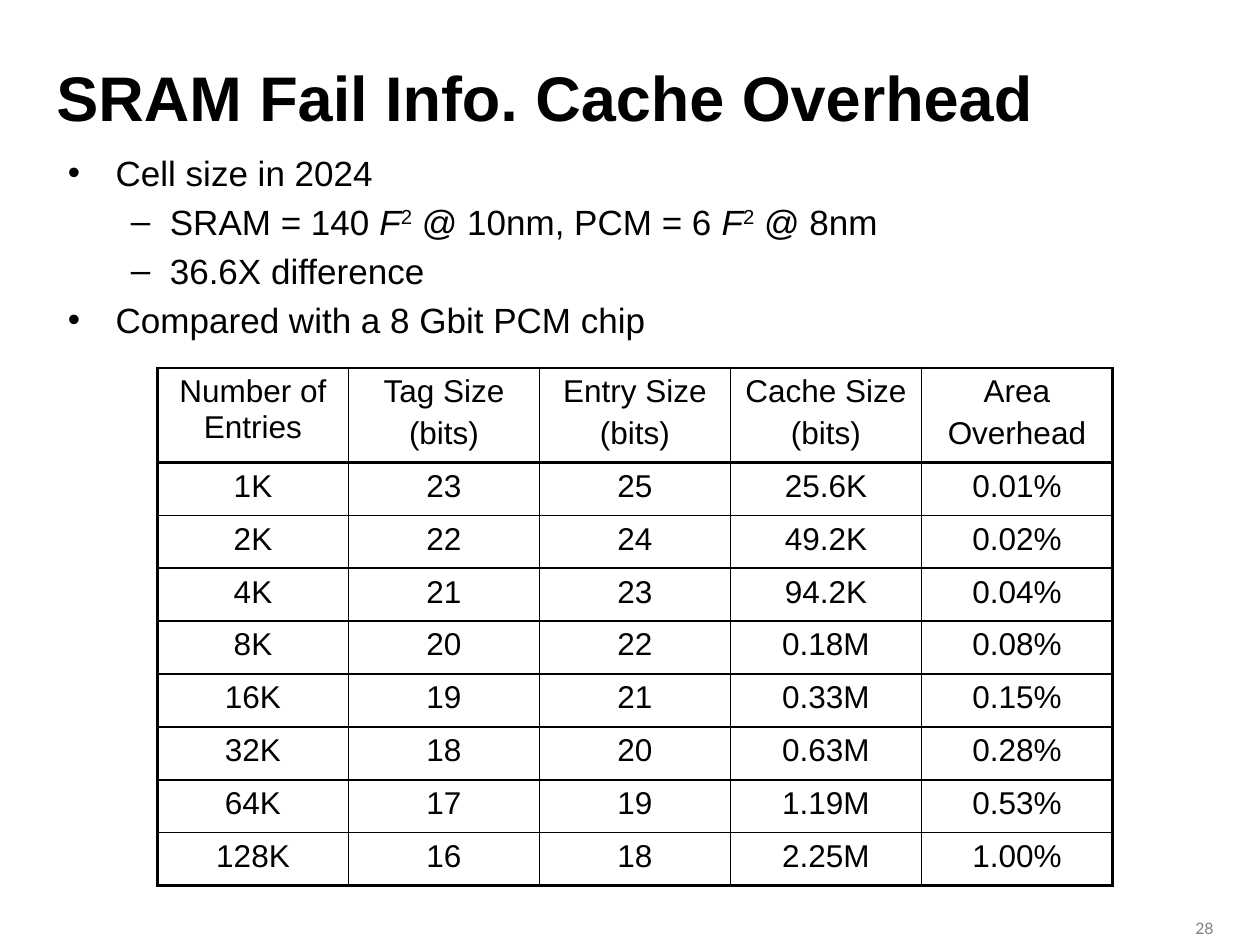
"""Build the slide on the area overhead of an SRAM fail information cache."""

from dataclasses import dataclass

from lxml.etree import SubElement
from pptx import Presentation
from pptx.dml.color import RGBColor
from pptx.enum.text import MSO_ANCHOR, PP_ALIGN
from pptx.oxml.ns import qn
from pptx.util import Inches, Pt

BLACK = RGBColor(0x00, 0x00, 0x00)
GRAY = RGBColor(0x80, 0x80, 0x80)
OUTER_WIDTH, INNER_WIDTH = Pt(1.5), Pt(1)


@dataclass(frozen=True)
class Piece:
    text: str
    italic: bool = False
    superscript: bool = False


@dataclass(frozen=True)
class Level:
    number: int
    symbol: str
    margin: float
    hanging: float


@dataclass(frozen=True)
class Bullet:
    level: Level
    pieces: tuple[Piece, ...]


MAIN = Level(0, "•", 0.38, 0.38)
DETAIL = Level(1, "–", 0.81, 0.31)
FEATURE = (Piece("F", italic=True), Piece("2", superscript=True))
BULLETS = (
    Bullet(MAIN, (Piece("Cell size in 2024"),)),
    Bullet(DETAIL, (Piece("SRAM = 140 "), *FEATURE, Piece(" @ 10nm, PCM = 6 "),
                    *FEATURE, Piece(" @ 8nm"))),
    Bullet(DETAIL, (Piece("36.6X difference"),)),
    Bullet(MAIN, (Piece("Compared with a 8 Gbit PCM chip"),)),
)
OVERHEAD_ROWS = (
    ("Number of Entries", "Tag Size\n(bits)", "Entry Size\n(bits)",
     "Cache Size\n(bits)", "Area\nOverhead"),
    ("1K", "23", "25", "25.6K", "0.01%"),
    ("2K", "22", "24", "49.2K", "0.02%"),
    ("4K", "21", "23", "94.2K", "0.04%"),
    ("8K", "20", "22", "0.18M", "0.08%"),
    ("16K", "19", "21", "0.33M", "0.15%"),
    ("32K", "18", "20", "0.63M", "0.28%"),
    ("64K", "17", "19", "1.19M", "0.53%"),
    ("128K", "16", "18", "2.25M", "1.00%"),
)


def format_run(run, size: float, color: RGBColor = BLACK, name: str = "Arial") -> None:
    """Set the size, colour and typeface of a run."""
    run.font.size = Pt(size)
    run.font.color.rgb = color
    run.font.name = name


def add_text_box(slide, left: float, top: float, width: float, height: float):
    """Add a wrapping text box and return its text frame."""
    shape = slide.shapes.add_textbox(
        Inches(left), Inches(top), Inches(width), Inches(height))
    shape.text_frame.word_wrap = True
    return shape.text_frame


def add_space_before(paragraph) -> None:
    """Put a fifth of a line above a paragraph."""
    spacing = SubElement(paragraph._p.get_or_add_pPr(), qn("a:spcBef"))
    SubElement(spacing, qn("a:spcPct"), val="20000")


def add_title(slide) -> None:
    """Add the slide title."""
    text_frame = add_text_box(slide, 0.35, 0.35, 9, 0.83)
    text_frame.vertical_anchor = MSO_ANCHOR.MIDDLE
    text_frame.text = "SRAM Fail Info. Cache Overhead"
    run = text_frame.paragraphs[0].runs[0]
    format_run(run, 36)
    run.font.bold = True


def add_slide_number(slide) -> None:
    """Add the slide number in the lower right corner."""
    text_frame = add_text_box(slide, 9.07, 7.24, 0.66, 0.17)
    text_frame.text = "28"
    paragraph = text_frame.paragraphs[0]
    paragraph.alignment = PP_ALIGN.RIGHT
    format_run(paragraph.runs[0], 9, GRAY, "Lato")


def write_bullet(paragraph, bullet: Bullet) -> None:
    """Write one bullet with its indent, symbol and runs."""
    level = bullet.level
    paragraph.level = level.number
    properties = paragraph._p.get_or_add_pPr()
    properties.set("marL", str(Inches(level.margin)))
    properties.set("indent", str(-Inches(level.hanging)))
    add_space_before(paragraph)
    SubElement(properties, qn("a:buFont"), typeface="Arial")
    SubElement(properties, qn("a:buChar"), char=level.symbol)
    for piece in bullet.pieces:
        run = paragraph.add_run()
        run.text = piece.text
        format_run(run, 20)
        if piece.italic:
            run.font.italic = True
        if piece.superscript:
            run._r.get_or_add_rPr().set("baseline", "30000")


def add_bullets(slide) -> None:
    """Add the bulleted body text."""
    text_frame = add_text_box(slide, 0.44, 1.15, 9.23, 5.98)
    for index, bullet in enumerate(BULLETS):
        paragraph = text_frame.add_paragraph() if index else text_frame.paragraphs[0]
        write_bullet(paragraph, bullet)


def set_borders(cell, row: int, column: int) -> None:
    """Draw the cell borders, thicker around the table and under its header."""
    last_row, last_column = len(OVERHEAD_ROWS) - 1, len(OVERHEAD_ROWS[0]) - 1
    thick_sides = {
        "a:lnL": column == 0,
        "a:lnR": column == last_column,
        "a:lnT": row in (0, 1),
        "a:lnB": row in (0, last_row),
    }
    properties = cell._tc.get_or_add_tcPr()
    for side, thick in thick_sides.items():
        width = OUTER_WIDTH if thick else INNER_WIDTH
        line = SubElement(properties, qn(side), w=str(width))
        fill = SubElement(line, qn("a:solidFill"))
        SubElement(fill, qn("a:srgbClr"), val=str(BLACK))


def write_cell(cell, text: str) -> None:
    """Write centred text into a cell without fill."""
    cell.fill.background()
    cell.text_frame.text = text
    for paragraph in cell.text_frame.paragraphs:
        paragraph.alignment = PP_ALIGN.CENTER
        add_space_before(paragraph)
        format_run(paragraph.runs[0], 18)


def add_overhead_table(slide) -> None:
    """Add the table of cache sizes and overheads."""
    row_count, column_count = len(OVERHEAD_ROWS), len(OVERHEAD_ROWS[0])
    table = slide.shapes.add_table(
        row_count, column_count, Inches(1.25), Inches(2.92),
        Inches(7.58), Inches(0.42 * row_count)).table
    table.first_row = False
    table.horz_banding = False
    for row, values in enumerate(OVERHEAD_ROWS):
        for column, value in enumerate(values):
            cell = table.cell(row, column)
            set_borders(cell, row, column)
            write_cell(cell, value)


def main() -> None:
    """Build and save the presentation."""
    presentation = Presentation()
    presentation.slide_width = Inches(10)
    presentation.slide_height = Inches(7.5)
    slide = presentation.slides.add_slide(presentation.slide_layouts[6])
    add_slide_number(slide)
    add_title(slide)
    add_bullets(slide)
    add_overhead_table(slide)
    presentation.save("out.pptx")


if __name__ == "__main__":
    main()
